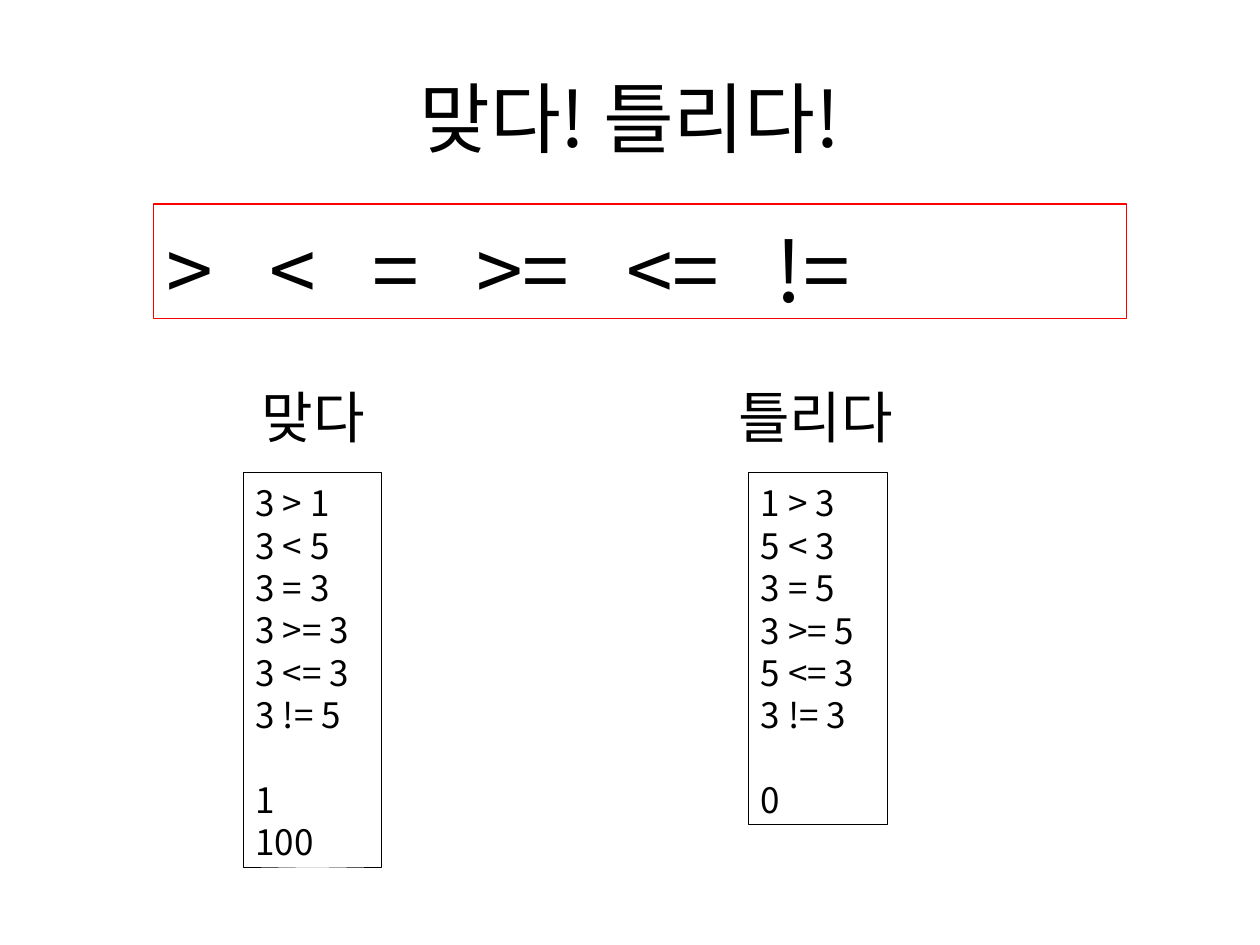
from lxml.etree import SubElement
from pptx import Presentation
from pptx.dml.color import RGBColor
from pptx.enum.shapes import MSO_SHAPE
from pptx.enum.text import MSO_ANCHOR, PP_ALIGN
from pptx.oxml.ns import qn
from pptx.util import Inches, Pt

FONT = "Noto Sans CJK KR"
BLACK = "000000"
RED = "FF0000"
LINE_HEIGHT = 1.21
BASELINE_SHIFT = 0.08


def color(value):
    """Turn a hex string into a colour."""
    return RGBColor.from_string(value)


def style_paragraph(paragraph, size):
    """Set the font for Latin and Korean text."""
    paragraph.font.size = Pt(size)
    paragraph.font.name = FONT
    paragraph.font.color.rgb = color(BLACK)
    for run in paragraph.runs:
        east_asian = SubElement(run.font._element, qn("a:ea"))
        east_asian.set("typeface", FONT)


def write_lines(shape, lines, size):
    """Write left-aligned lines with even line spacing."""
    frame = shape.text_frame
    frame.word_wrap = True
    frame.vertical_anchor = MSO_ANCHOR.TOP
    frame.margin_top = Inches(0.05 + BASELINE_SHIFT * size / 72)
    frame.text = "\n".join(lines)
    for paragraph in frame.paragraphs:
        paragraph.alignment = PP_ALIGN.LEFT
        paragraph.line_spacing = Pt(round(size * LINE_HEIGHT, 1))
        style_paragraph(paragraph, size)
    return frame.paragraphs


def add_title(slide, text):
    """Add the centred slide title."""
    title = slide.shapes.add_textbox(Inches(0.5), Inches(0.3), Inches(9), Inches(1.25))
    frame = title.text_frame
    frame.word_wrap = True
    frame.vertical_anchor = MSO_ANCHOR.MIDDLE
    frame.text = text
    frame.paragraphs[0].alignment = PP_ALIGN.CENTER
    style_paragraph(frame.paragraphs[0], 44)


def add_label(slide, text, left, width):
    """Add a column heading."""
    label = slide.shapes.add_textbox(Inches(left), Inches(2.95), Inches(width), Inches(0.64))
    write_lines(label, [text], 32)


def add_frame(slide, left, top, width, height, line_color, line_width):
    """Add an unfilled outlined rectangle."""
    frame = slide.shapes.add_shape(
        MSO_SHAPE.RECTANGLE, Inches(left), Inches(top), Inches(width), Inches(height))
    frame.shadow.inherit = False
    frame.fill.background()
    frame.line.color.rgb = color(line_color)
    frame.line.width = Pt(line_width)
    return frame


def add_operators(slide, operators, single_step, double_step):
    """Add the operator box, with tab stops that follow operator length."""
    box = add_frame(slide, 1.22, 1.62, 7.72, 0.91, RED, 0.75)
    paragraph = write_lines(box, ["\t".join(operators)], 48)[0]
    properties = paragraph._p.get_or_add_pPr()
    tabs = properties.makeelement(qn("a:tabLst"), {})
    properties.insert_element_before(tabs, "a:defRPr", "a:extLst")
    position = 0
    for operator in operators[:-1]:
        position += single_step if len(operator) == 1 else double_step
        SubElement(tabs, qn("a:tab"), pos=str(Inches(position)), algn="l")


def add_examples(slide, left, height, comparisons, numbers):
    """Add a box of comparisons, then numbers after a one-line gap."""
    box = add_frame(slide, left, 3.75, 1.1, height, BLACK, 0.25)
    paragraphs = write_lines(box, comparisons + numbers, 20)
    paragraphs[len(comparisons)].space_before = Pt(20 * LINE_HEIGHT)


def main():
    """Build the comparison operator slide."""
    presentation = Presentation()
    presentation.slide_width = Inches(10)
    presentation.slide_height = Inches(7.5)
    slide = presentation.slides.add_slide(presentation.slide_layouts[6])

    add_title(slide, "맞다! 틀리다!")
    add_operators(slide, [">", "<", "=", ">=", "<=", "!="], 0.82, 1.19)

    add_label(slide, "맞다", 1.98, 1.1)
    add_examples(slide, 1.93, 3.13,
                 ["3 > 1", "3 < 5", "3 = 3", "3 >= 3", "3 <= 3", "3 != 5"], ["1", "100"])

    add_label(slide, "틀리다", 5.76, 1.55)
    add_examples(slide, 5.94, 2.79,
                 ["1 > 3", "5 < 3", "3 = 5", "3 >= 5", "5 <= 3", "3 != 3"], ["0"])

    presentation.save("out.pptx")


main()
